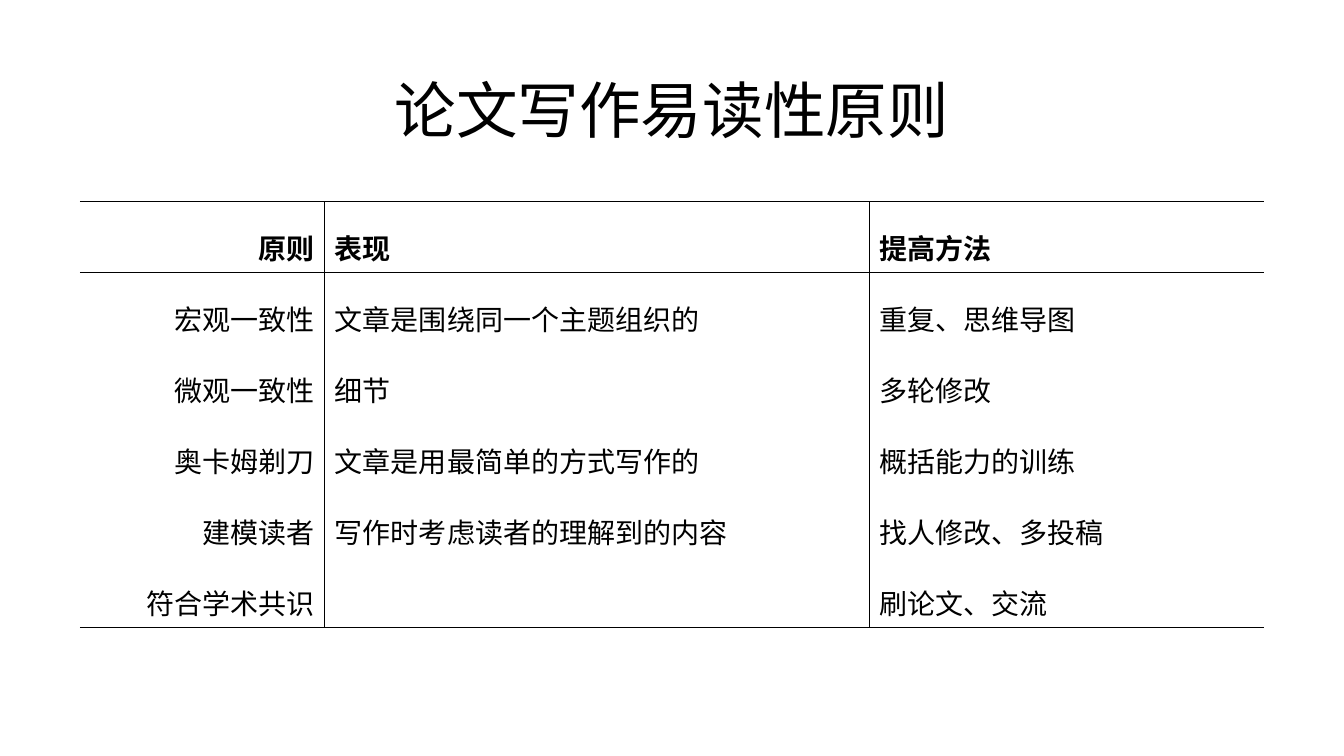
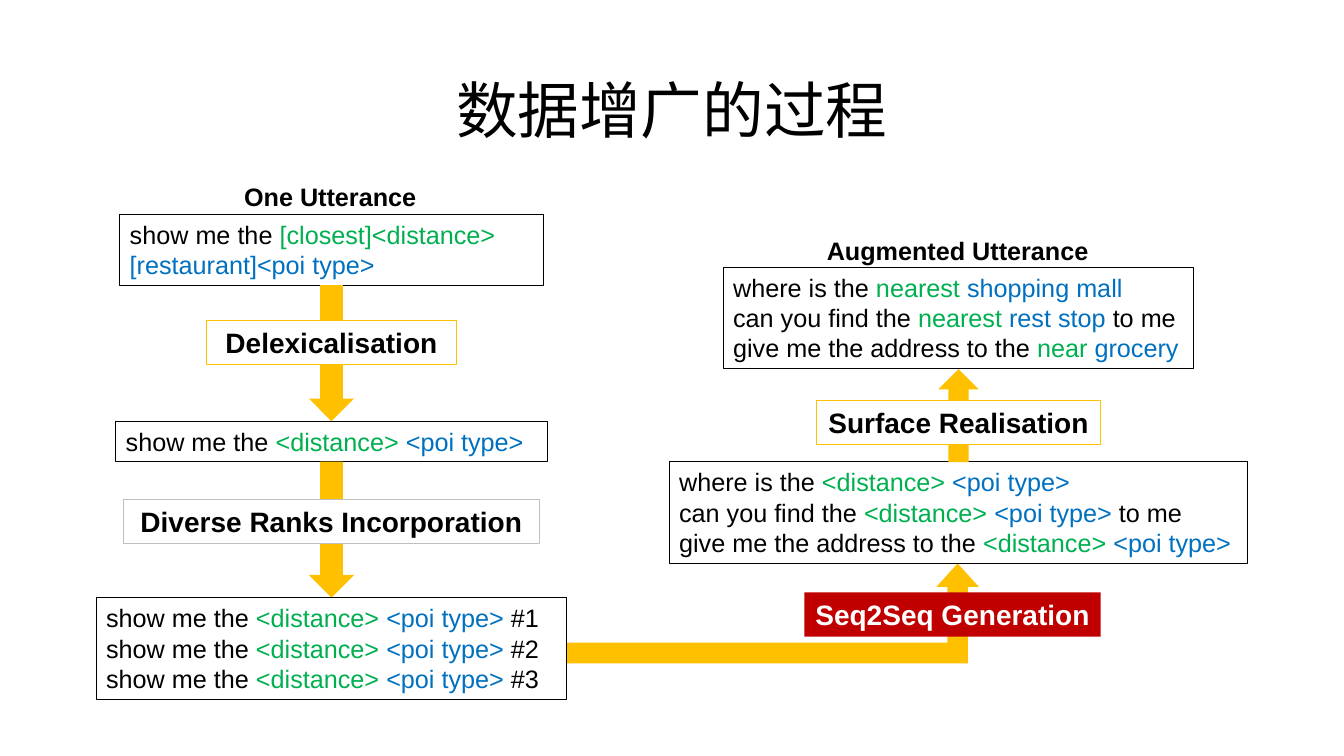
from lxml.etree import SubElement
from pptx import Presentation
from pptx.dml.color import RGBColor
from pptx.enum.shapes import MSO_SHAPE as Form
from pptx.enum.text import MSO_ANCHOR as Anchor
from pptx.enum.text import MSO_AUTO_SIZE as AutoSize
from pptx.enum.text import PP_ALIGN as Align
from pptx.oxml.ns import qn
from pptx.util import Pt

BLACK, WHITE, GREY = "000000", "FFFFFF", "BFBFBF"
GREEN, BLUE, RED, AMBER = "00B050", "0070C0", "C00000", "FFC000"
LATIN, CHINESE = "Arial", "Noto Sans CJK SC"
NO_STYLE = "{2D5ABB26-0587-4C30-8999-92F81FD0307C}"
SLOTS = ("<distance> ", "<poi type>")

TABLE_ROWS = [
    ("原则", "表现", "提高方法"),
    ("宏观一致性", "文章是围绕同一个主题组织的", "重复、思维导图"),
    ("微观一致性", "细节", "多轮修改"),
    ("奥卡姆剃刀", "文章是用最简单的方式写作的", "概括能力的训练"),
    ("建模读者", "写作时考虑读者的理解到的内容", "找人修改、多投稿"),
    ("符合学术共识", "", "刷论文、交流"),
]


def colour(code):
    return RGBColor.from_string(code)


def add_span(para, text, size, code=BLACK, font=LATIN, bold=False):
    span = para.add_run()
    span.text = text
    span.font.size = Pt(size)
    span.font.bold = bold
    span.font.color.rgb = colour(code)
    span.font.name = font
    SubElement(span._r.get_or_add_rPr(), qn("a:ea")).set("typeface", font)


def add_text_box(page, box):
    text_box = page.shapes.add_textbox(*map(Pt, box))
    text_box.text_frame.word_wrap = True
    return text_box.text_frame


def add_title(page, text):
    frame = add_text_box(page, (66, 28.8, 828, 104.4))
    frame.vertical_anchor = Anchor.MIDDLE
    para = frame.paragraphs[0]
    para.alignment = Align.CENTER
    para.line_spacing = 0.9
    add_span(para, text, 44, font=CHINESE)


def add_form(page, form, box, fill=None, line=None):
    shape = page.shapes.add_shape(form, *map(Pt, box))
    shape.shadow.inherit = False
    if fill:
        shape.fill.solid()
        shape.fill.fore_color.rgb = colour(fill)
    else:
        shape.fill.background()
    if line:
        shape.line.color.rgb = colour(line)
        shape.line.width = Pt(0.75)
    else:
        shape.line.fill.background()
    return shape


def centred(axis, top, width, height):
    return axis - width / 2, top, width, height


def add_caption(page, box, text):
    add_span(add_text_box(page, box).paragraphs[0], text, 18, bold=True)


def add_framed_text(page, box, fill, line):
    frame = add_form(page, Form.RECTANGLE, box, fill, line).text_frame
    frame.word_wrap = True
    frame.auto_size = AutoSize.SHAPE_TO_FIT_TEXT
    frame.vertical_anchor = Anchor.TOP
    return frame


def add_step(page, box, text, fill=WHITE, line=AMBER, code=BLACK):
    para = add_framed_text(page, box, fill, line).paragraphs[0]
    para.alignment = Align.CENTER
    add_span(para, text, 20, code, bold=True)


def add_examples(page, box, lines, fill=None):
    frame = add_framed_text(page, box, fill, BLACK)
    for index, parts in enumerate(lines):
        para = frame.add_paragraph() if index else frame.paragraphs[0]
        para.alignment = Align.LEFT
        for text, code in zip(parts, (BLACK, GREEN, BLUE, BLACK)):
            add_span(para, text, 18, code)


def add_borders(cell, sides):
    properties = cell._tc.get_or_add_tcPr()
    for tag in ("lnL", "lnR", "lnT", "lnB"):
        edge = SubElement(properties, qn(f"a:{tag}"))
        if tag in sides:
            edge.set("w", str(Pt(1)))
            fill = SubElement(edge, qn("a:solidFill"))
            SubElement(fill, qn("a:srgbClr")).set("val", BLACK)
        else:
            edge.set("w", "0")
            SubElement(edge, qn("a:noFill"))


def add_principles(page, box):
    count, widths = len(TABLE_ROWS), (175, 389, 282)
    frame = page.shapes.add_table(count, len(widths), *map(Pt, box))
    table = frame.table
    frame._element.find(".//" + qn("a:tableStyleId")).text = NO_STYLE
    table.horz_banding = False
    for column, width in zip(table.columns, widths):
        column.width = Pt(width)
    for row_index, texts in enumerate(TABLE_ROWS):
        table.rows[row_index].height = Pt(box[3] / count)
        for column_index, text in enumerate(texts):
            cell = table.cell(row_index, column_index)
            sides = {
                "lnL": column_index > 0,
                "lnR": column_index < len(widths) - 1,
                "lnT": row_index < 2,
                "lnB": row_index in (0, count - 1),
            }
            add_borders(cell, [tag for tag, shown in sides.items() if shown])
            cell.fill.background()
            para = cell.text_frame.paragraphs[0]
            para.alignment = Align.LEFT if column_index else Align.RIGHT
            para.line_spacing = 1.5
            if text:
                add_span(para, text, 20, font=CHINESE, bold=row_index == 0)


def add_source_column(page, box):
    left, top, width, height = box
    axis = left + width / 2
    add_caption(page, centred(axis, top, 139, 29), "One Utterance")
    add_examples(page, centred(axis, top + 27, 302.4, 51),
                 [("show me the ", "[closest]<distance> ", "[restaurant]<poi type>")])
    add_examples(page, centred(axis, top + 175, 308.2, 29), [("show me the ", *SLOTS)])
    for arrow_top in (77.7, 203.7):
        add_form(page, Form.DOWN_ARROW, centred(axis, top + arrow_top, 32.4, 97.2), AMBER)
    add_step(page, centred(axis, top + 103, 178, 31.5), "Delexicalisation")
    add_step(page, centred(axis, top + 230.6, 297.4, 31.5),
             "Diverse Ranks Incorporation", line=GREY)
    ranked = [("show me the ", SLOTS[0], SLOTS[1] + " ", f"#{rank}") for rank in (1, 2, 3)]
    add_examples(page, (left, top + height - 72.7, width, 72.7), ranked, WHITE)


def add_result_column(page, box):
    left, top, width, height = box
    axis = left + width / 2
    add_caption(page, centred(axis, top + 0.4, 202.4, 29), "Augmented Utterance")
    add_examples(page, centred(axis, top + 26.8, 336.2, 72.7), [
        ("where is the ", "nearest ", "shopping mall"),
        ("can you find the ", "nearest ", "rest stop ", "to me"),
        ("give me the address to the ", "near ", "grocery"),
    ])
    add_examples(page, (left, top + 165.8, width, 72.7), [
        ("where is the ", *SLOTS),
        ("can you find the ", SLOTS[0], SLOTS[1] + " ", "to me"),
        ("give me the address to the ", *SLOTS),
    ])
    add_form(page, Form.UP_ARROW, centred(axis, top + 99.7, 28.8, 66.3), AMBER)
    add_step(page, centred(axis, top + 121.8, 202.4, 31.5), "Surface Realisation")
    add_step(page, centred(axis - 4.3, top + height - 31.5, 211.6, 31.5),
             "Seq2Seq Generation", RED, None, WHITE)


def add_bent_arrow(page, box):
    arrow = add_form(page, Form.BENT_UP_ARROW, box, AMBER)
    for index, ratio in enumerate((0.206, 0.213, 0.235)):
        arrow.adjustments[index] = ratio


def add_page(deck, title):
    page = deck.slides.add_slide(deck.slide_layouts[6])
    add_title(page, title)
    return page


def main():
    deck = Presentation()
    deck.slide_width, deck.slide_height = Pt(960), Pt(540)

    page = add_page(deck, "论文写作易读性原则")
    add_principles(page, (57, 144, 846, 304.2))

    page = add_page(deck, "数据增广的过程")
    add_bent_arrow(page, (326.2, 402.5, 373, 71.3))
    add_result_column(page, (478, 164, 413.4, 290.7))
    add_source_column(page, (68.7, 126, 336.2, 373.7))

    deck.save("out.pptx")


if __name__ == "__main__":
    main()
